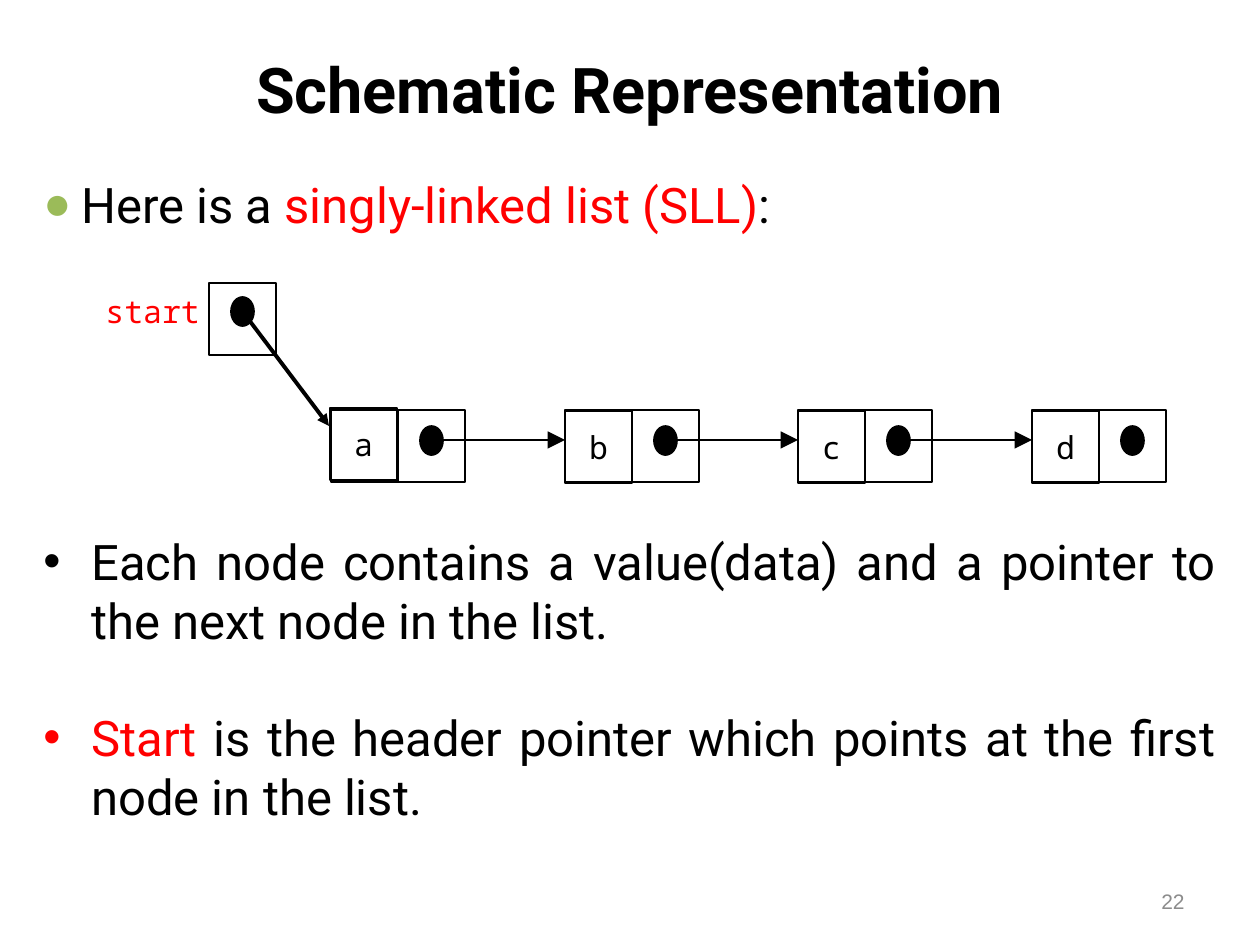
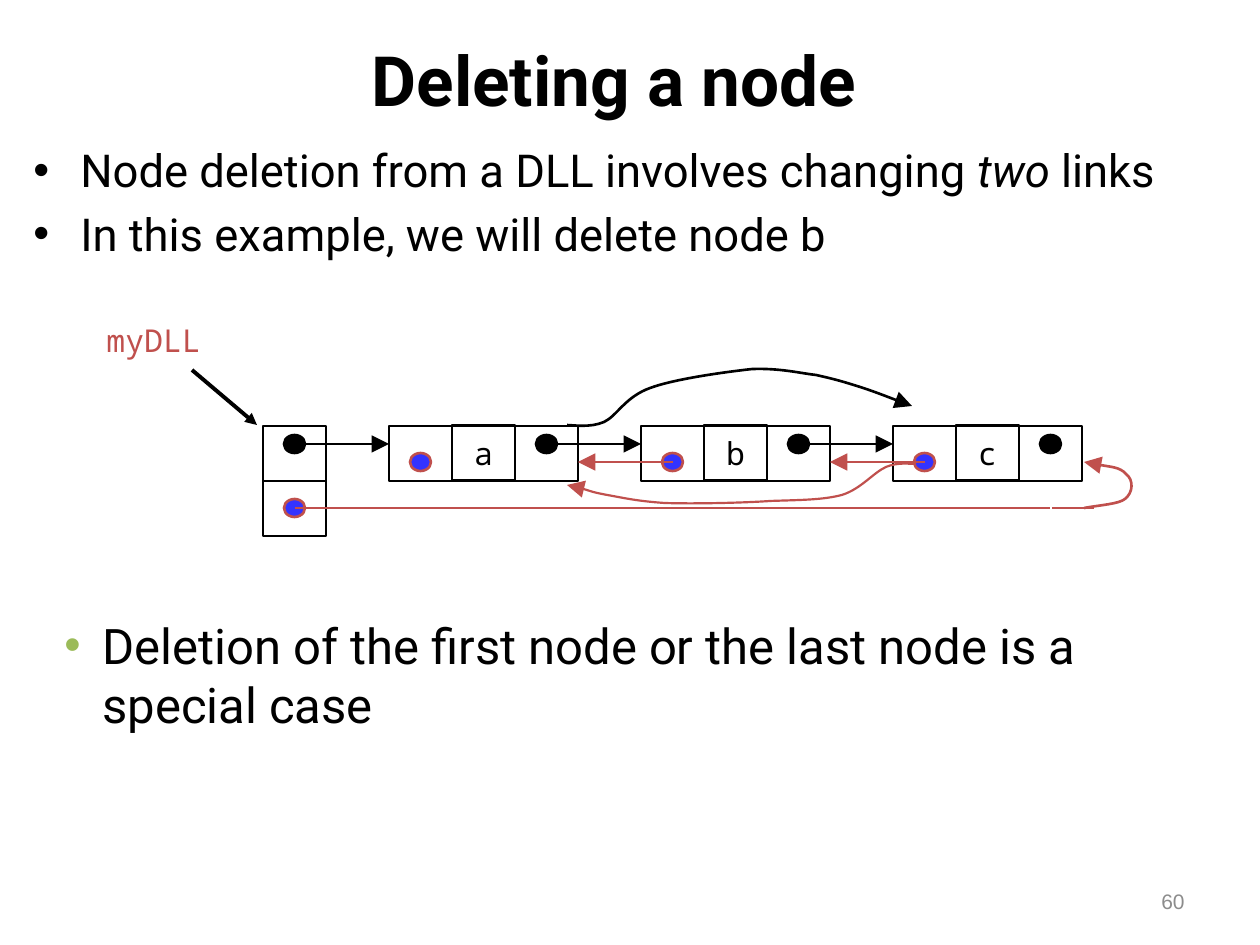
from dataclasses import dataclass
from lxml import etree
from pptx import Presentation
from pptx.dml.color import RGBColor
from pptx.enum.shapes import MSO_CONNECTOR, MSO_SHAPE
from pptx.enum.text import MSO_ANCHOR, PP_ALIGN
from pptx.oxml.ns import qn
from pptx.util import Emu, Pt

EMU_PER_PX = 914400 / 126


@dataclass(frozen=True)
class Theme:
    black: str = "000000"
    red: str = "FF0000"
    brick: str = "C0504D"
    blue: str = "3333FF"
    green: str = "9BBB59"
    grey: str = "8C8C8C"
    body: str = "Roboto"
    mono: str = "Noto Sans Mono"
    number: str = "Arial"
    text_size: float = 28
    small_text_size: float = 25.9
    code_size: float = 18
    number_size: float = 12
    thin: float = 1
    medium: float = 1.5
    thick: float = 2.25


THEME = Theme()

# Content: a paragraph is a list of (text, style) spans
SINGLY = {
    "title": ("Schematic Representation", 36, (63, 42, 1134, 92)),
    "number": "22",
    "intro": [[("Here is a ", {}), ("singly-linked list (SLL)", {"color": THEME.red}), (":", {})]],
    "notes": [
        [("Each node contains a value(data) and a pointer to the next node in the list.", {})],
        [("Start ", {"color": THEME.red}),
         ("is the header pointer which points at the first node in the list.", {})],
    ],
    "head": "start",
    # letter and the shift of its frame against the cell
    "nodes": [("a", -1, -2), ("b", 0, 1), ("c", 0, 1), ("d", 0, 1)],
}
DOUBLY = {
    "title": ("Deleting a node", 39.6, (31, 32, 1166, 94)),
    "number": "60",
    "intro": [
        [("Node deletion from a DLL involves changing ", {}), ("two", {"italic": True}), (" links", {})],
        [("In this example, we will delete node b", {})],
    ],
    "notes": [[("Deletion of the first node or the last node is a special case", {})]],
    "head": "myDLL",
    "nodes": ["a", "b", "c"],
}

# Curved links: a start point, then three Bezier points for each stretch
BYPASS_NEXT = [
    (567, 425), (573, 425), (590, 428), (604, 422), (617, 416), (625, 397), (650, 388),
    (674, 379), (725, 372), (752, 369), (780, 368), (799, 373), (816, 375),
    (834, 379), (841, 381), (857, 386), (873, 391), (901, 402), (912, 406)]
BYPASS_PREVIOUS = [
    (915, 464), (910, 464), (898, 462), (886, 467), (873, 473), (861, 489), (842, 495),
    (823, 500), (801, 500), (771, 501), (742, 503), (692, 504), (664, 503),
    (636, 501), (624, 498), (607, 495), (591, 492), (576, 486), (567, 485)]
LAST_HOOK = [
    (1084, 508), (1101, 505), (1119, 504), (1125, 499), (1133, 493), (1134, 480), (1126, 474),
    (1120, 467), (1092, 464), (1084, 462)]


def px(value):
    return Emu(round(value * EMU_PER_PX))


def color(value):
    return RGBColor.from_string(value)


# Text
def add_span(para, text, size, font=THEME.body, color_name=THEME.black, bold=False, italic=False):
    span = para.add_run()
    span.text = text
    span.font.size, span.font.name = Pt(size), font
    span.font.bold, span.font.italic = bold, italic
    span.font.color.rgb = color(color_name)


def add_box(page, place, anchor=MSO_ANCHOR.TOP):
    box = page.shapes.add_textbox(*map(px, place))
    box.text_frame.word_wrap = True
    box.text_frame.vertical_anchor = anchor
    return box.text_frame


def add_line_of_text(page, place, text, size, font, color_name=THEME.black, bold=False,
                     align=PP_ALIGN.LEFT, anchor=MSO_ANCHOR.TOP):
    para = add_box(page, place, anchor).paragraphs[0]
    para.alignment = align
    add_span(para, text, size, font, color_name, bold)


def set_bullet(para, mark, indent, color_name, percent):
    properties = para._p.get_or_add_pPr()
    properties.set("marL", str(px(indent)))
    properties.set("indent", str(-px(indent)))
    tint = etree.SubElement(properties, qn("a:buClr"))
    etree.SubElement(tint, qn("a:srgbClr"), val=color_name)
    etree.SubElement(properties, qn("a:buSzPct"), val=str(percent * 1000))
    etree.SubElement(properties, qn("a:buFont"), typeface="Arial")
    etree.SubElement(properties, qn("a:buChar"), char=mark)


def add_bullets(page, place, paragraphs, size=THEME.text_size, mark="•", indent=47,
                bullet_color=None, percent=100, gap=0, align=PP_ALIGN.LEFT):
    frame = add_box(page, place)
    for index, spans in enumerate(paragraphs):
        para = frame.add_paragraph() if index else frame.paragraphs[0]
        para.alignment = align
        if index:
            para.space_before = Pt(gap)
        first_color = spans[0][1].get("color", THEME.black)
        set_bullet(para, mark, indent, bullet_color or first_color, percent)
        for text, style in spans:
            add_span(para, text, size, color_name=style.get("color", THEME.black),
                     italic=style.get("italic", False))


# Diagram parts
def add_shape(page, kind, place, width, line=THEME.black, fill=None):
    shape = page.shapes.add_shape(kind, *map(px, place))
    shape.shadow.inherit = False
    if fill:
        shape.fill.solid()
        shape.fill.fore_color.rgb = color(fill)
    else:
        shape.fill.background()
    shape.line.color.rgb = color(line)
    shape.line.width = Pt(width)
    return shape


def add_cell(page, place, width, letter=""):
    cell = add_shape(page, MSO_SHAPE.RECTANGLE, place, width)
    if letter:
        frame = cell.text_frame
        frame.word_wrap = False
        frame.vertical_anchor = MSO_ANCHOR.MIDDLE
        frame.paragraphs[0].alignment = PP_ALIGN.CENTER
        add_span(frame.paragraphs[0], letter, THEME.code_size, THEME.mono)


def add_dot(page, place, width, line=THEME.black, fill=THEME.black):
    add_shape(page, MSO_SHAPE.OVAL, place, width, line, fill)


def add_arrowhead(shape, width):
    size = "med" if width == THEME.thick else "lg"
    etree.SubElement(shape.line._get_or_add_ln(), qn("a:tailEnd"), type="triangle", w=size, len=size)


def add_link(page, start, end, width, line=THEME.black, arrow=True):
    link = page.shapes.add_connector(MSO_CONNECTOR.STRAIGHT, *map(px, start + end))
    link.line.color.rgb = color(line)
    link.line.width = Pt(width)
    etree.SubElement(link._element.spPr, qn("a:effectLst"))
    if arrow:
        add_arrowhead(link, width)


def add_curve(page, points, width, line):
    points = [tuple(map(px, point)) for point in points]
    builder = page.shapes.build_freeform(*points[0])
    builder.add_line_segments(points[3::3], close=False)
    curve = builder.convert_to_shape()
    # turn each straight stretch into a Bezier stretch
    for index, straight in enumerate(list(curve._element.iter(qn("a:lnTo")))):
        bend = etree.Element(qn("a:cubicBezTo"))
        for x, y in points[3 * index + 1:3 * index + 4]:
            etree.SubElement(bend, qn("a:pt"), x=str(x - curve.left), y=str(y - curve.top))
        straight.getparent().replace(straight, bend)
    curve.shadow.inherit = False
    curve.fill.background()
    curve.line.color.rgb = color(line)
    curve.line.width = Pt(width)
    add_arrowhead(curve, width)


def add_page(deck, content):
    page = deck.slides.add_slide(deck.slide_layouts[6])
    text, size, place = content["title"]
    add_line_of_text(page, place, text, size, THEME.body, bold=True,
                     align=PP_ALIGN.CENTER, anchor=MSO_ANCHOR.MIDDLE)
    add_line_of_text(page, (903, 876, 294, 50), content["number"], THEME.number_size, THEME.number,
                     THEME.grey, align=PP_ALIGN.RIGHT, anchor=MSO_ANCHOR.MIDDLE)
    return page


# Slide: singly-linked list
def draw_singly_list(page, content):
    left, right, top, width, height = 331, 1032, 410, 67, 72
    dot_left, dot_width, dot_height = 22, 23, 29
    link_y = top + 30
    last = len(content["nodes"]) - 1
    starts = [left + round(index * (right - left) / last) for index in range(last + 1)]
    for index, (letter, shift_x, shift_y) in enumerate(content["nodes"]):
        x = starts[index]
        pointer = x + width
        add_cell(page, (x, top, width, height), THEME.thin)
        add_cell(page, (pointer, top, width, height), THEME.thin)
        add_cell(page, (x + shift_x, top + shift_y, width, height), THEME.thin, letter)
        add_dot(page, (pointer + dot_left, top + 16, dot_width, dot_height), THEME.thin)
        if index < last:
            add_link(page, (pointer + 34, link_y), (starts[index + 1], link_y), THEME.thin)

    # header pointer
    add_cell(page, (209, 283, width, height), THEME.thin)
    add_dot(page, (209 + dot_left, 297, dot_width, dot_height), THEME.thin)
    add_link(page, (243, 312), (329, 426), THEME.thick)
    add_line_of_text(page, (93, 286, 189, 69), content["head"], THEME.code_size, THEME.mono, THEME.red)


def build_singly(deck):
    page = add_page(deck, SINGLY)
    add_bullets(page, (31, 168, 1182, 98), SINGLY["intro"], mark="●", indent=38,
                bullet_color=THEME.green, percent=95)
    draw_singly_list(page, SINGLY)
    add_bullets(page, (31, 525, 1197, 310), SINGLY["notes"], indent=48, gap=33.5,
                align=PP_ALIGN.JUSTIFY)


# Slide: doubly-linked list
def draw_doubly_list(page, content):
    header, left, top, pitch, width, height = 263, 389, 426, 252, 63, 55
    next_y, previous_y, last_y = 444, 462, 508
    line = THEME.medium
    nodes = content["nodes"]

    def next_dot(x):
        add_dot(page, (x + 21, next_y - 9, 21, 18), line)

    def previous_dot(x, y):
        add_dot(page, (x + 21, y - 9, 21, 18), line, THEME.brick, THEME.blue)

    # header with its first and last pointers
    for row in range(2):
        add_cell(page, (header, top + row * height, width, height), line)
    next_dot(header)
    previous_dot(header, last_y)
    add_link(page, (header + 32, next_y), (left, next_y), line)
    for start, end in ((header + 32, 735), (735, 1050), (1094, 1052)):
        add_link(page, (start, last_y), (end, last_y), line, THEME.brick, arrow=False)
    add_link(page, (192, 370), (257, 425), THEME.thick)
    add_line_of_text(page, (94, 315, 179, 55), content["head"], THEME.code_size, THEME.mono, THEME.brick)

    # nodes: previous, value, next
    for index, letter in enumerate(nodes):
        x = left + index * pitch
        for column in range(3):
            add_cell(page, (x + column * width, top, width, height), line)
        add_cell(page, (x + width, top - 1, width, height), THEME.thin, letter)
        previous_dot(x, previous_y)
        next_dot(x + 2 * width)
        if index < len(nodes) - 1:
            add_link(page, (x + 2 * width + 32, next_y), (x + pitch, next_y), line)
        if index:
            add_link(page, (x + 32, previous_y), (x - width, previous_y), line, THEME.brick)

    add_curve(page, BYPASS_PREVIOUS, 1.25, THEME.brick)
    add_curve(page, LAST_HOOK, line, THEME.brick)
    add_curve(page, BYPASS_NEXT, line, THEME.black)


def build_doubly(deck):
    page = add_page(deck, DOUBLY)
    add_bullets(page, (21, 136, 1229, 158), DOUBLY["intro"], THEME.small_text_size, gap=5.2)
    draw_doubly_list(page, DOUBLY)
    add_bullets(page, (52, 609, 1166, 136), DOUBLY["notes"], indent=38,
                bullet_color=THEME.green, percent=95)


def main():
    deck = Presentation()
    deck.slide_width, deck.slide_height = px(1260), px(945)
    build_singly(deck)
    build_doubly(deck)
    deck.save("out.pptx")


if __name__ == "__main__":
    main()
